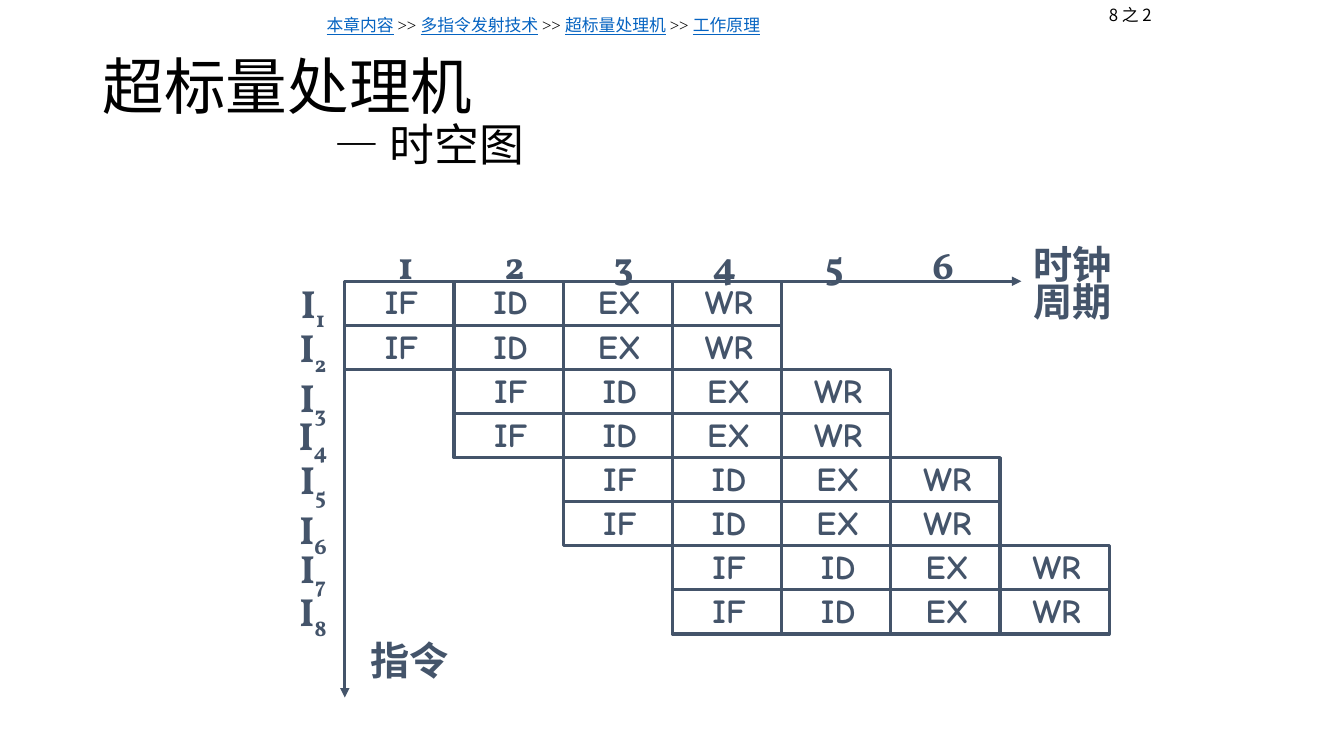
from lxml import etree
from pptx import Presentation
from pptx import util as u
from pptx.dml.color import RGBColor
from pptx.enum import shapes, text
from pptx.oxml import ns

SLATE = RGBColor(0x44, 0x54, 0x6A)
BLACK = RGBColor(0, 0, 0)
BLUE = RGBColor(0x05, 0x63, 0xC1)
HAN = "Noto Sans CJK SC"
LEFT, TOP = 3.42, 2.79
WIDE, HIGH = 1.083, 0.4375


def write(para, words, size=28, font="Vollkorn", color=SLATE, bold=False,
          under=False, base=0):
    run = para.add_run()
    run.text = words
    face = run.font
    face.size, face.bold, face.underline = u.Pt(size), bold, under
    face.color.rgb = color
    face.name = font
    props = run._r.get_or_add_rPr()
    etree.SubElement(props, ns.qn("a:ea"), typeface=HAN)
    if base:
        props.set("baseline", str(base * 1000))


class Board:
    line = u.Pt(2.25)
    inset = (0.08, 0.04, 0.04, 0)

    def __init__(self, slide):
        self.shapes = slide.shapes

    def fill(self, shape, paras, inset=inset, wrap=False, center=True,
             middle=True, space=0.8, **style):
        frame = shape.text_frame
        frame.word_wrap = wrap
        frame.vertical_anchor = (text.MSO_ANCHOR.MIDDLE if middle
                                 else text.MSO_ANCHOR.TOP)
        (frame.margin_left, frame.margin_top, frame.margin_right,
         frame.margin_bottom) = map(u.Inches, inset)
        for i, runs in enumerate(paras):
            para = frame.add_paragraph() if i else frame.paragraphs[0]
            para.alignment = (text.PP_ALIGN.CENTER if center
                              else text.PP_ALIGN.LEFT)
            para.line_spacing = space
            for words, extra in runs:
                write(para, words, **{**style, **extra})
        return frame

    def label(self, box, paras, **style):
        shape = self.shapes.add_textbox(*map(u.Inches, box))
        return self.fill(shape, paras, **style)

    def cell(self, x, y, words):
        shape = self.shapes.add_shape(
            shapes.MSO_SHAPE.RECTANGLE,
            *map(u.Inches, (x, y, WIDE, HIGH)))
        shape.shadow.inherit = False
        shape.fill.background()
        shape.line.color.rgb = SLATE
        shape.line.width = self.line
        self.fill(shape, [[(words, {})]], size=24, font="Comic Neue",
                  bold=True)

    def arrow(self, *ends):
        axis = self.shapes.add_connector(
            shapes.MSO_CONNECTOR.STRAIGHT, *map(u.Inches, ends))
        axis.line.color.rgb = SLATE
        axis.line.width = self.line
        etree.SubElement(axis.line._get_or_add_ln(), ns.qn("a:tailEnd"),
                         type="triangle")
        etree.SubElement(axis._element.spPr, ns.qn("a:effectLst"))


def main():
    deck = Presentation()
    deck.slide_width, deck.slide_height = u.Inches(13.33), u.Inches(7.5)
    board = Board(deck.slides.add_slide(deck.slide_layouts[6]))
    pad = (0.1, 0.05, 0.1, 0.05)

    title = board.label(
        (0.92, 0.4, 11.5, 1.45),
        [[("超标量处理机", {"size": 44})], [("— 时空图", {"size": 32})]],
        inset=pad, wrap=True, center=False, space=0.9,
        font="Calibri", color=BLACK)
    indent = title.paragraphs[1]._p.get_or_add_pPr()
    indent.set("marL", str(u.Inches(2.3)))
    indent.set("indent", "0")

    trail = []
    for name in ("本章内容", "多指令发射技术", "超标量处理机", "工作原理"):
        if trail:
            trail.append((" >> ", {}))
        trail.append((name, {"color": BLUE, "under": True}))
    board.label((3.14, 0.1, 8.28, 0.3), [trail], inset=pad, wrap=True,
                center=False, middle=False, space=1, size=12,
                font="Times New Roman", color=BLACK)
    board.label((10.75, 0, 0.92, 0.3), [[("8 之 2", {})]], inset=pad,
                wrap=True, middle=False, space=1, size=12, font=HAN,
                color=BLACK)

    for row in range(8):
        for col, stage in enumerate(("IF", "ID", "EX", "WR")):
            board.cell(LEFT + (row // 2 + col) * WIDE, TOP + row * HIGH,
                       stage)
    board.arrow(LEFT, TOP, LEFT, 6.92)
    board.arrow(LEFT, TOP, 10.13, TOP)

    board.label((10.08, 2.48, WIDE, 0.69),
                [[("时钟", {})], [("周期", {})]], bold=True)
    board.label((3.5, 6.35, WIDE, HIGH), [[("指令", {})]], bold=True)
    ticks = (3.67, 4.75, 5.83, 6.83, 7.92, 9)
    for num, x in enumerate(ticks, 1):
        board.label((x, 2.42, 0.67, HIGH), [[(str(num), {})]], bold=True)
    rows = (2.79, 3.23, 3.73, 4.1, 4.54, 5.04, 5.42, 5.85)
    for num, y in enumerate(rows, 1):
        board.label((2.75, y, 0.67, HIGH),
                    [[("I", {}), (str(num), {"base": -25})]], bold=True)
    deck.save("out.pptx")


if __name__ == "__main__":
    main()
